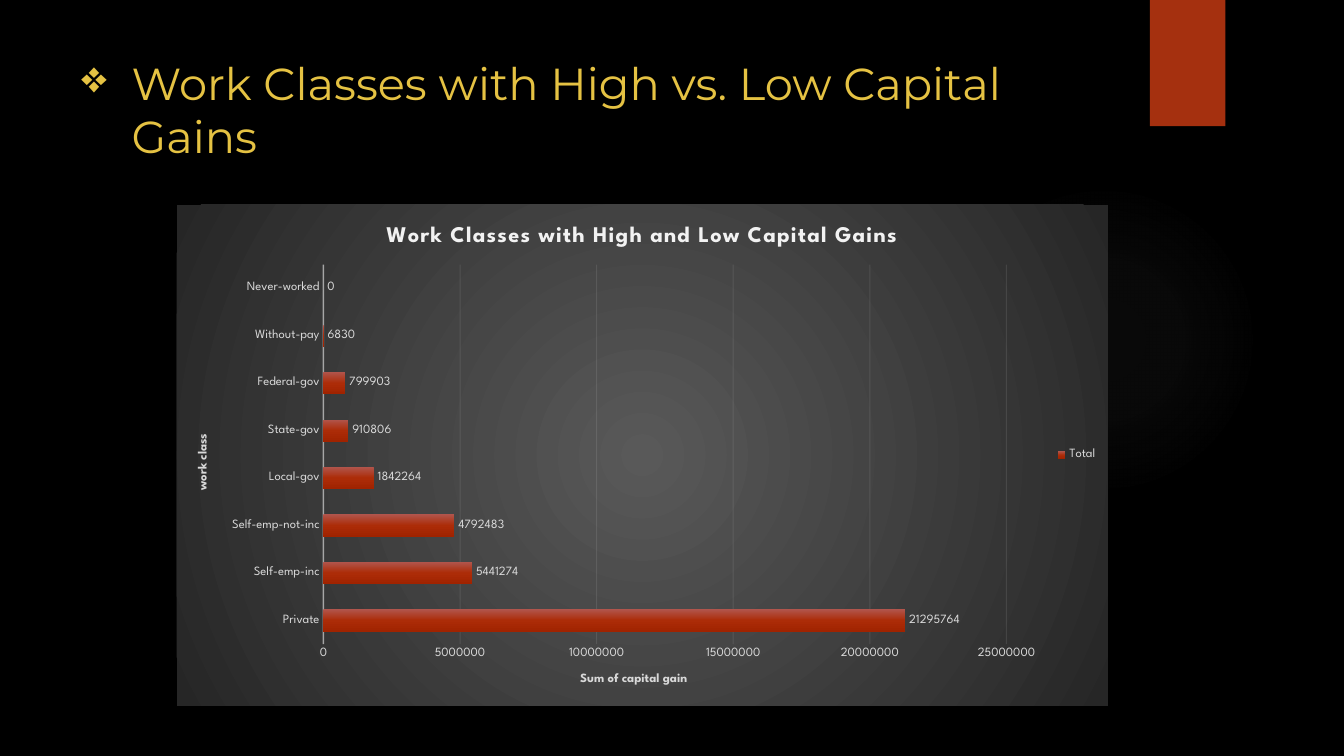
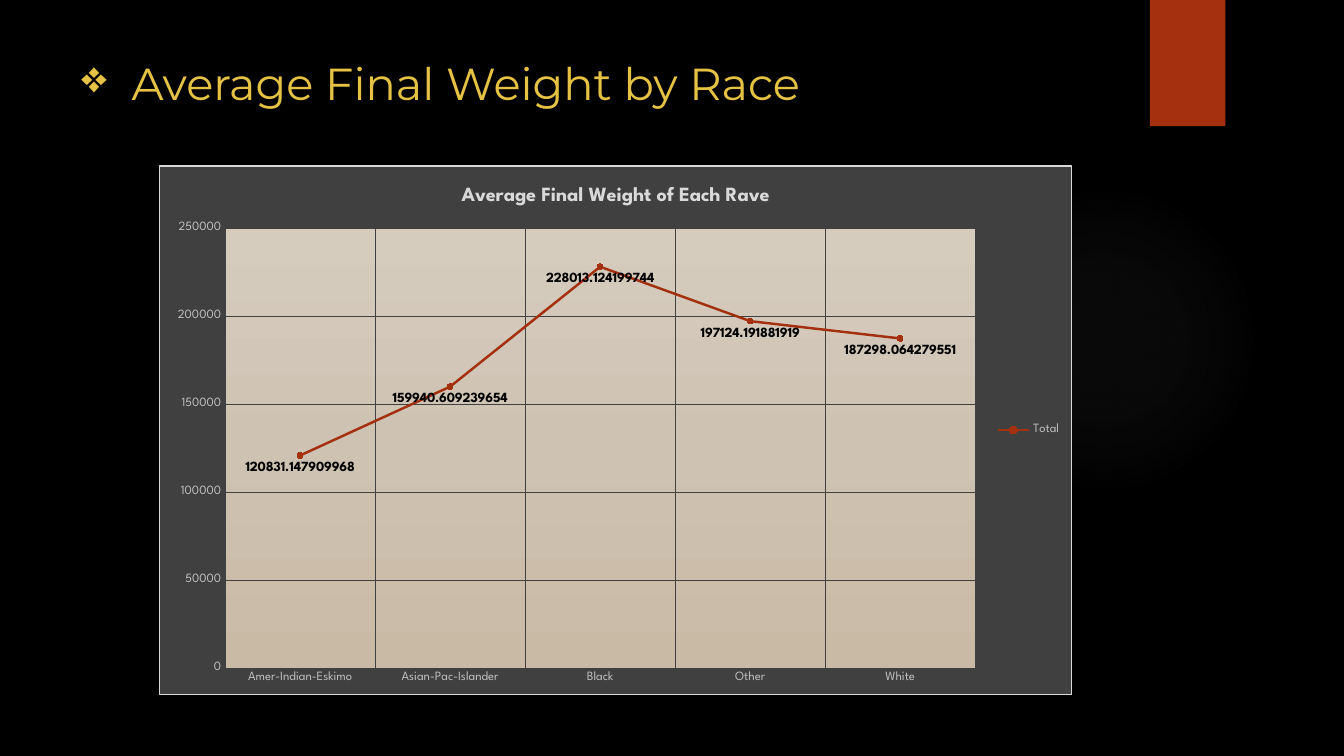
from pptx import Presentation
from pptx.chart.data import CategoryChartData
from pptx.dml.color import RGBColor
from pptx.enum.chart import (
    XL_CHART_TYPE, XL_LABEL_POSITION, XL_LEGEND_POSITION, XL_MARKER_STYLE, XL_TICK_MARK,
)
from pptx.enum.shapes import MSO_SHAPE
from pptx.oxml import parse_xml
from pptx.oxml.ns import nsdecls, qn
from pptx.util import Cm, Pt

BAR = XL_CHART_TYPE.BAR_CLUSTERED
LINE = XL_CHART_TYPE.LINE_MARKERS
OUTSIDE_END = XL_LABEL_POSITION.OUTSIDE_END
BELOW = XL_LABEL_POSITION.BELOW
RIGHT = XL_LEGEND_POSITION.RIGHT
NO_TICK = XL_TICK_MARK.NONE
CIRCLE = XL_MARKER_STYLE.CIRCLE

BLACK = RGBColor(0x00, 0x00, 0x00)
GOLD = RGBColor(0xE5, 0xC2, 0x43)
RUST = RGBColor(0xA5, 0x30, 0x0F)
CORAL = RGBColor(0xEE, 0x6E, 0x4A)
WHITE = RGBColor(0xFF, 0xFF, 0xFF)
NEAR_WHITE = RGBColor(0xF2, 0xF2, 0xF2)
LIGHT_GRAY = RGBColor(0xD9, 0xD9, 0xD9)
MID_GRAY = RGBColor(0xBF, 0xBF, 0xBF)
DARK_GRAY = RGBColor(0x40, 0x40, 0x40)

TITLE_FONT = "Montserrat"
CHART_FONT = "League Spartan"

GLOW = [(0, "848484", 7), (36, "848484", 6), (69, "848484", 0)]
CHARCOAL = [(0, "595959", 100), (100, "262626", 100)]
EMBER = [(0, "B1554C", 100), (50, "AC2C08", 100), (100, "A02300", 100)]
SAND = [(0, "D6CCBE", 100), (50, "CEC2B2", 100), (100, "C9BAA5", 100)]

CAPITAL_GAINS = {
    "heading": "Work Classes with High vs. Low Capital Gains",
    "title": "Work Classes with High and Low Capital Gains",
    "title_format": {"size": 16, "color": NEAR_WHITE, "spacing": 1},
    "kind": BAR,
    "area": (4.45, 5.16, 23.47, 12.62),
    "text_color": LIGHT_GRAY,
    "label_format": {"size": 9, "color": LIGHT_GRAY},
    "label_position": OUTSIDE_END,
    "values": {
        "Private": 21295764,
        "Self-emp-inc": 5441274,
        "Self-emp-not-inc": 4792483,
        "Local-gov": 1842264,
        "State-gov": 910806,
        "Federal-gov": 799903,
        "Without-pay": 6830,
        "Never-worked": 0,
    },
}
FINAL_WEIGHT = {
    "heading": "Average Final Weight by Race",
    "title": "Average Final Weight of Each Rave",
    "title_format": {"size": 14.4, "color": LIGHT_GRAY},
    "kind": LINE,
    "area": (4.01, 4.17, 23.01, 13.34),
    "text_color": MID_GRAY,
    "label_format": {"size": 10, "color": BLACK, "bold": True},
    "label_position": BELOW,
    "values": {
        "Amer-Indian-Eskimo": 120831.147909968,
        "Asian-Pac-Islander": 159940.609239654,
        "Black": 228013.124199744,
        "Other": 197124.191881919,
        "White": 187298.064279551,
    },
}


def set_font(font, size, color, bold=False, name=CHART_FONT):
    font.name = name
    font.size = Pt(size)
    font.bold = bold
    font.color.rgb = color


def write_text(frame, text, spacing=0, **font_format):
    para = frame.paragraphs[0]
    span = para.add_run()
    span.text = text
    set_font(span.font, **font_format)
    if spacing:
        span.font._element.set("spc", str(spacing * 100))
    return para


def gradient(stops, radial=False):
    marks = "".join(
        f'<a:gs pos="{position * 1000}"><a:srgbClr val="{color}">'
        f'<a:alpha val="{opacity * 1000}"/></a:srgbClr></a:gs>'
        for position, color, opacity in stops
    )
    direction = '<a:lin ang="5400000" scaled="0"/>'
    if radial:
        direction = ('<a:path path="circle"><a:fillToRect l="50000" t="50000" '
                     'r="50000" b="50000"/></a:path>')
    return f'<a:gradFill {nsdecls("a")} rotWithShape="1"><a:gsLst>{marks}</a:gsLst>{direction}</a:gradFill>'


def solid(color):
    return f'<a:solidFill><a:srgbClr val="{color}"/></a:solidFill>'


def format_after(element, fill, border="<a:noFill/>"):
    element.addnext(parse_xml(
        f'<c:spPr {nsdecls("c", "a")}>{fill}<a:ln w="9525">{border}</a:ln></c:spPr>'
    ))


def fade_colors(chart, location, opacity):
    for color in chart.element.xpath(location + "//a:srgbClr"):
        color.append(parse_xml(f'<a:alpha {nsdecls("a")} val="{opacity * 1000}"/>'))


def set_line(line, color, width):
    line.color.rgb = color
    line.width = Pt(width)


def add_decoration(slide, preset, left, top, width, height):
    shape = slide.shapes.add_shape(preset, Cm(left), Cm(top), Cm(width), Cm(height))
    shape.shadow.inherit = False
    shape.fill.solid()
    shape.fill.fore_color.rgb = RUST
    shape.line.fill.background()
    return shape


def add_page(deck, heading):
    page = deck.slides.add_slide(deck.slide_layouts[6])
    page.background.fill.solid()
    page.background.fill.fore_color.rgb = BLACK
    glow = add_decoration(page, MSO_SHAPE.OVAL, 23.9, 4.65, 7.82, 7.82)
    plain = glow.element.spPr.find(qn("a:solidFill"))
    plain.getparent().replace(plain, parse_xml(gradient(GLOW, radial=True)))
    add_decoration(page, MSO_SHAPE.RECTANGLE, 28.98, 0, 1.9, 3.18)

    box = page.shapes.add_textbox(Cm(1.8), Cm(1.27), Cm(26.14), Cm(3.89))
    box.text_frame.word_wrap = True
    para = write_text(box.text_frame, heading, size=32, color=GOLD, name=TITLE_FONT)
    properties = para._p.get_or_add_pPr()
    properties.set("marL", str(Cm(1.27)))
    properties.set("indent", str(-Cm(1.27)))
    properties.append(parse_xml(f'<a:buChar {nsdecls("a")} char="❖"/>'))
    return page


def add_chart(page, content):
    data = CategoryChartData(number_format="General")
    data.categories = list(content["values"])
    data.add_series("Total", list(content["values"].values()))
    area = [Cm(length) for length in content["area"]]
    chart = page.shapes.add_chart(content["kind"], *area, data).chart
    set_font(chart.font, 10, WHITE)
    chart.has_title = True
    write_text(chart.chart_title.text_frame, content["title"], bold=True, **content["title_format"])
    chart.chart_title.include_in_layout = False
    chart.has_legend = True
    chart.legend.position = RIGHT
    chart.legend.include_in_layout = False
    set_font(chart.legend.font, 9, content["text_color"])
    for axis in (chart.category_axis, chart.value_axis):
        axis.major_tick_mark = axis.minor_tick_mark = NO_TICK
        axis.format.line.fill.background()
        set_font(axis.tick_labels.font, 9, content["text_color"])
    plot = chart.plots[0]
    plot.vary_by_categories = False
    plot.has_data_labels = True
    labels = plot.data_labels
    labels.show_value = True
    labels.position = content["label_position"]
    set_font(labels.font, **content["label_format"])
    return chart


def style_bars(chart):
    plot = chart.plots[0]
    plot.gap_width = 115
    plot.overlap = -20
    titles = ((chart.category_axis, "work class"), (chart.value_axis, "Sum of capital gain"))
    for axis, title in titles:
        write_text(axis.axis_title.text_frame, title, size=9, color=LIGHT_GRAY, bold=True)
    set_line(chart.category_axis.format.line, NEAR_WHITE, 1)
    set_line(chart.value_axis.major_gridlines.format.line, NEAR_WHITE, 0.75)
    fade_colors(chart, "//c:catAx/c:spPr", 54)
    fade_colors(chart, "//c:valAx/c:majorGridlines", 10)
    format_after(chart.element.xpath("//c:ser/c:tx")[0], gradient(EMBER))
    format_after(chart.element.find(qn("c:chart")), gradient(CHARCOAL, radial=True))


def style_line(chart):
    for axis in (chart.category_axis, chart.value_axis):
        axis.has_major_gridlines = True
        set_line(axis.major_gridlines.format.line, DARK_GRAY, 0.75)
    series = chart.plots[0].series[0]
    series.smooth = False
    set_line(series.format.line, RUST, 1.75)
    series.marker.style = CIRCLE
    series.marker.size = 4
    series.marker.format.fill.solid()
    series.marker.format.fill.fore_color.rgb = CORAL
    set_line(series.marker.format.line, RUST, 0.75)
    format_after(chart.element.xpath("//c:plotArea/*[last()]")[0], gradient(SAND))
    format_after(chart.element.find(qn("c:chart")), solid(DARK_GRAY), solid(LIGHT_GRAY))


def main():
    deck = Presentation()
    deck.slide_width = Cm(33.87)
    deck.slide_height = Cm(19.05)
    for content, style in ((CAPITAL_GAINS, style_bars), (FINAL_WEIGHT, style_line)):
        page = add_page(deck, content["heading"])
        style(add_chart(page, content))
    deck.save("out.pptx")


if __name__ == "__main__":
    main()
